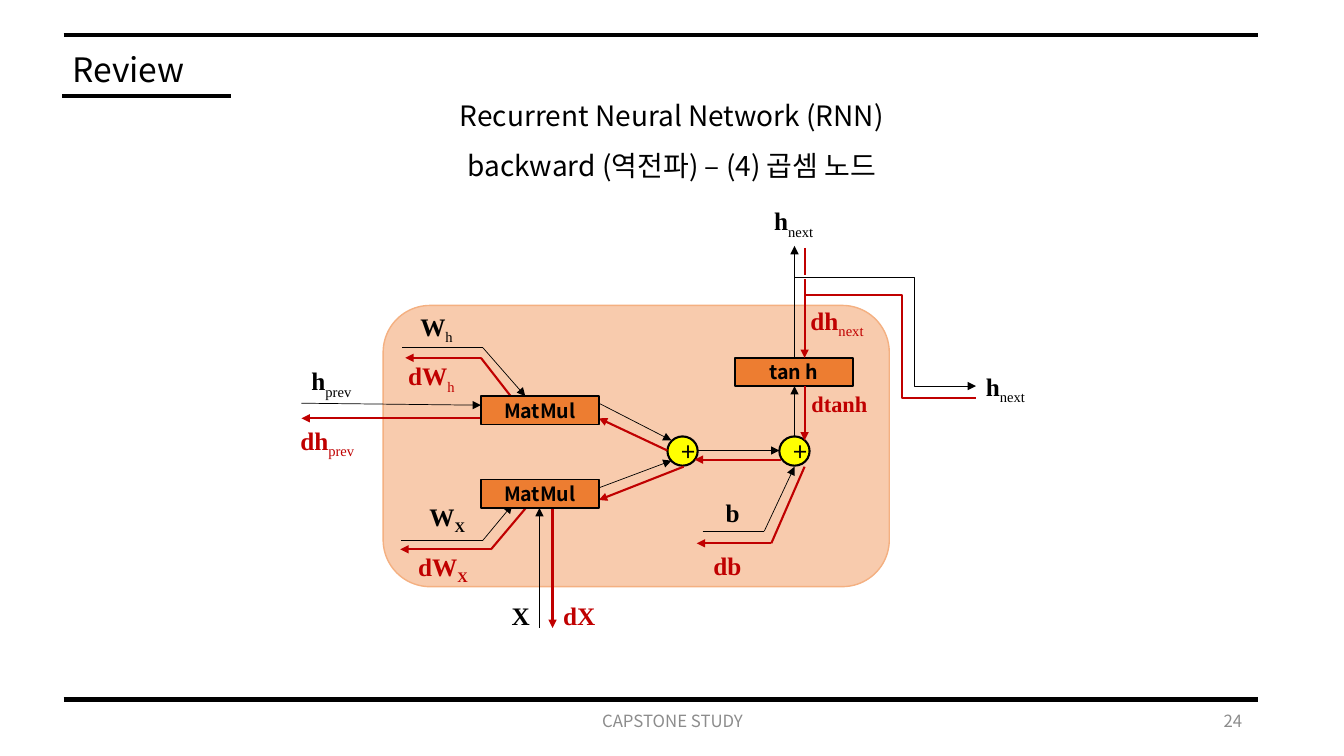
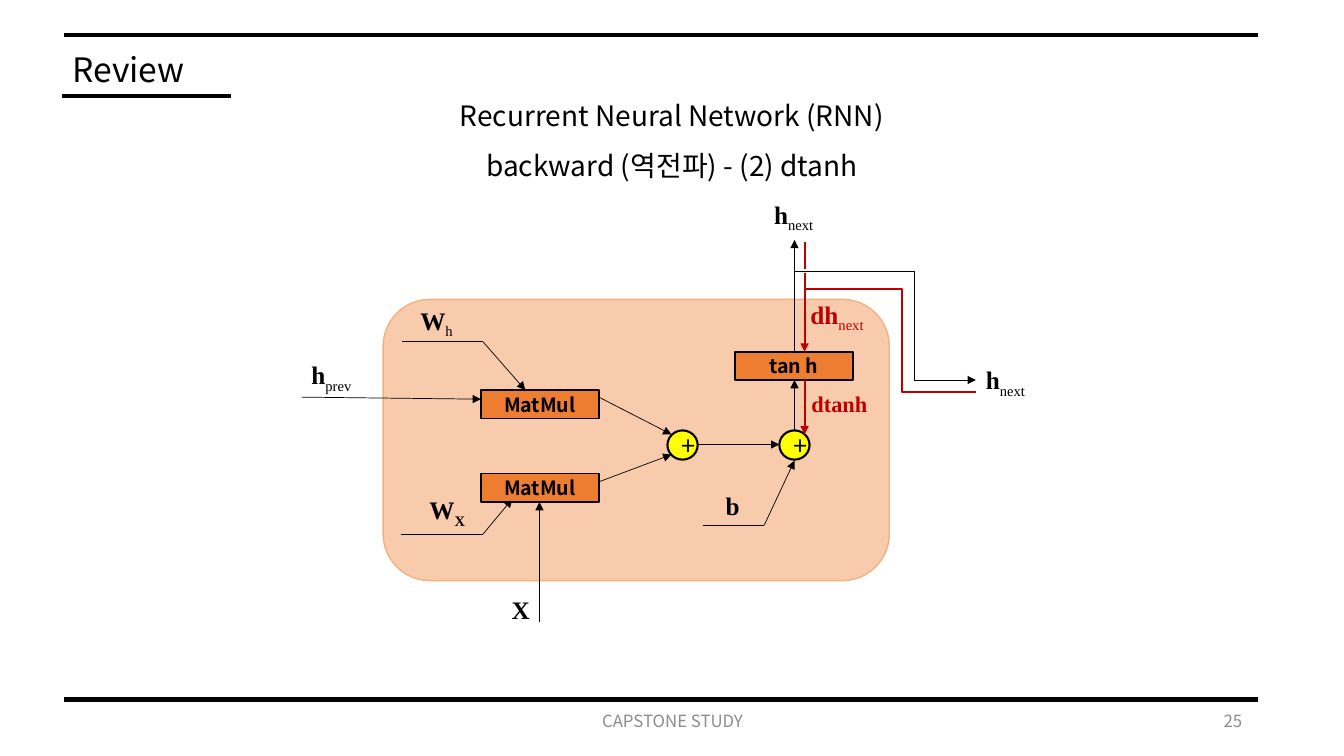
from dataclasses import dataclass
from itertools import pairwise

from lxml.etree import SubElement
from pptx import Presentation
from pptx.dml.color import RGBColor
from pptx.enum.shapes import MSO_CONNECTOR, MSO_SHAPE
from pptx.enum.text import MSO_ANCHOR, PP_ALIGN
from pptx.oxml.ns import qn
from pptx.util import Inches, Pt


@dataclass(frozen=True)
class Theme:
    # Colours
    ink: str = "000000"
    gradient: str = "C00000"
    muted: str = "8C8C8C"
    cell: str = "F8CBAD"
    cell_edge: str = "F4B081"
    operation: str = "ED7D31"
    addition: str = "FFFF00"
    # Fonts
    sans: str = "Noto Sans CJK KR"
    serif: str = "Times New Roman"
    # Type sizes
    title: int = 24
    headline: int = 20
    symbol: int = 18
    small_symbol: int = 16
    box: int = 14
    footer: int = 12
    # Line widths
    rule: float = 3
    strong: float = 1.5
    edge: float = 1
    thin: float = 0.5


THEME = Theme()
COLUMNS, ROWS = 133.3, 75  # grid of tenths of an inch
LEFT, CENTER, RIGHT = PP_ALIGN.LEFT, PP_ALIGN.CENTER, PP_ALIGN.RIGHT


def grid(steps):
    return Inches(steps / 10)


def apply(target, values):
    for name, value in values.items():
        setattr(target, name, value)


class Deck:
    def __init__(self, theme):
        self.theme = theme
        self.file = Presentation()
        apply(self.file, {"slide_width": grid(COLUMNS), "slide_height": grid(ROWS)})
        self.slide = None
        self.shift = 0  # rows added to everything in the diagram

    def new_slide(self, number, headline):
        t = self.theme
        self.shift = 0
        self.slide = self.file.slides.add_slide(self.file.slide_layouts[6])
        # Title and rules
        self.text((6.2, 4.4, 100, 5), ["Review"], t.title)
        for left, right, row in ((6.3, 124.8, 3.5), (6.3, 124.8, 69.4), (6.2, 22.9, 9.5)):
            self.line((left, row), (right, row), t.ink, t.rule)
        # Footer
        footer = {"size": t.footer, "color": t.muted, "anchor": MSO_ANCHOR.MIDDLE}
        self.text((94.2, 69.5, 30, 4), [str(number)], align=RIGHT, **footer)
        self.text((44.2, 69.5, 45, 4), ["CAPSTONE STUDY"], align=CENTER, **footer)
        # Headline
        self.text((30, 7.6, 73.3, 10.6), headline, t.headline, align=CENTER, spacing=1.5)

    def run(self, paragraph, words, size, color, font, bold=False):
        run = paragraph.add_run()
        run.text = words
        apply(run.font, {"size": Pt(size), "bold": bold, "name": font})
        run.font.color.rgb = RGBColor.from_string(color)
        properties = run._r.get_or_add_rPr()
        SubElement(properties, qn("a:ea")).set("typeface", font)
        return properties

    def box(self, at):
        left, top, width, height = at
        return grid(left), grid(top + self.shift), grid(width), grid(height)

    def text(self, at, lines, size, color=None, font=None, bold=False,
             align=LEFT, anchor=MSO_ANCHOR.TOP, spacing=1.0):
        frame = self.slide.shapes.add_textbox(*self.box(at)).text_frame
        apply(frame, {"word_wrap": True, "vertical_anchor": anchor})
        for index, words in enumerate(lines):
            paragraph = frame.add_paragraph() if index else frame.paragraphs[0]
            apply(paragraph, {"alignment": align, "line_spacing": spacing})
            self.run(paragraph, words, size, color or self.theme.ink,
                     font or self.theme.sans, bold)
        return frame

    def symbol(self, name, subscript, left, top, width, color):
        t = self.theme
        frame = self.text((left, top, width, 4), [name], t.symbol, color, t.serif, True,
                          LEFT if subscript else CENTER)
        if subscript:
            properties = self.run(frame.paragraphs[0], subscript, t.symbol, color, t.serif,
                                  bold=subscript.isupper())
            properties.set("baseline", "-25000")

    def shape(self, kind, at, fill, edge, weight, words="", size=0, bold=False):
        node = self.slide.shapes.add_shape(kind, *self.box(at))
        node.shadow.inherit = False
        node.fill.solid()
        node.fill.fore_color.rgb = RGBColor.from_string(fill)
        node.line.color.rgb = RGBColor.from_string(edge)
        node.line.width = Pt(weight)
        if words:
            node.text_frame.vertical_anchor = MSO_ANCHOR.MIDDLE
            paragraph = node.text_frame.paragraphs[0]
            paragraph.alignment = CENTER
            self.run(paragraph, words, size, self.theme.ink, self.theme.sans, bold)

    def operation(self, words, left, top):
        t = self.theme
        self.shape(MSO_SHAPE.RECTANGLE, (left, top, 11.7, 2.8), t.operation, t.ink, t.edge,
                   words, t.box, True)

    def line(self, start, end, color, weight, arrow=False, bend=None):
        kind = MSO_CONNECTOR.STRAIGHT if bend is None else MSO_CONNECTOR.ELBOW
        (x1, y1), (x2, y2) = start, end
        link = self.slide.shapes.add_connector(
            kind, grid(x1), grid(y1 + self.shift), grid(x2), grid(y2 + self.shift))
        link.line.color.rgb = RGBColor.from_string(color)
        link.line.width = Pt(weight)
        properties = link._element.spPr
        if arrow:
            SubElement(link.line._get_or_add_ln(), qn("a:tailEnd")).set("type", "triangle")
        SubElement(properties, qn("a:effectLst"))
        if bend is not None:
            guide = SubElement(properties.find(qn("a:prstGeom")).find(qn("a:avLst")), qn("a:gd"))
            guide.set("name", "adj1")
            guide.set("fmla", f"val {round(bend * 100000)}")

    def route(self, points, color, weight):
        """Join the points; the last piece carries the arrowhead."""
        for start, end in pairwise(points):
            self.line(start, end, color, weight, arrow=end == points[-1])


# Shared positions of the diagram
MATMUL_LEFT, MATMUL_RIGHT = 47.7, 59.4
MATMUL_TOPS = (39.3, 47.6)
SUM_TOP, SUM_LEFTS = 43.3, (66.2, 77.3)
UP, DOWN = 78.8, 79.8  # columns of the output and of its gradient

FORWARD = [
    [(29.9, 40), (MATMUL_LEFT, 40.2)],
    [(MATMUL_RIGHT, 40), (66.6, 43.7)],
    [(MATMUL_RIGHT, 48.4), (66.6, 45.7)],
    [(69.1, 44.7), (77.3, 44.7)],
    [(UP, 43.3), (UP, 38.3)],
    [(UP, 35.5), (UP, 24.4)],
    [(39.9, 34.5), (47.9, 34.5), (52.1, 39.3)],
    [(39.8, 53.6), (47.9, 53.6), (50.8, 50.1)],
    [(69.7, 52.7), (75.8, 52.7), (UP, 46.3)],
    [(53.5, 62.3), (53.5, 50.4)],
]
OUTPUT_GRADIENT = [
    [(DOWN, 27.7), (DOWN, 35.5)],
    [(DOWN, 38.3), (DOWN, 43.7)],
]
INNER_GRADIENT = [
    [(DOWN, 46.3), (76.5, 53.9), (69.1, 53.9)],
    [(77.5, 45.6), (68.9, 45.6)],
    [(67.8, 46.3), (MATMUL_RIGHT, 49.6)],
    [(66.2, 44.7), (MATMUL_RIGHT, 41.5)],
    [(MATMUL_LEFT, 41.5), (29.9, 41.5)],
    [(54.8, 50.4), (54.8, 62.3)],
    [(51.2, 40), (47.7, 35.5), (40.2, 35.5)],
    [(53.5, 48.8), (48.7, 54.5), (39.7, 54.5)],
]

# Name, subscript, left, top, width
VALUES = [
    ("W", "h", 40.7, 30.4, 5.9),
    ("W", "X", 41.6, 49.2, 5.9),
    ("b", "", 69.7, 48.8, 5.9),
    ("h", "prev", 29.9, 35.8, 7.7),
    ("h", "next", 75.8, 19.9, 7.7),
    ("h", "next", 96.8, 36.3, 7.7),
    ("X", "", 48.7, 59.1, 5.9),
]
OUTPUT_NAMES = [("dh", "next", 79.4, 29.8, 9)]
INNER_NAMES = [
    ("dX", "", 54.5, 59.1, 5.9),
    ("dh", "prev", 28.8, 41.7, 9),
    ("dW", "X", 40.5, 54.2, 7.3),
    ("dW", "h", 39.5, 35.3, 7),
    ("db", "", 69.2, 54.1, 5.9),
]


def draw_network(deck, shift, inner):
    t = deck.theme
    deck.shift = shift
    # Cell and its nodes
    deck.shape(MSO_SHAPE.ROUNDED_RECTANGLE, (38, 30.3, 50.2, 27.9), t.cell, t.cell_edge, t.edge)
    for left in SUM_LEFTS:
        deck.shape(MSO_SHAPE.OVAL, (left, SUM_TOP, 3, 2.9), t.addition, t.ink, t.strong,
                   "+", t.symbol)
    deck.operation("tan h", 72.9, 35.5)
    # Forward pass
    for points in FORWARD:
        deck.route(points, t.ink, t.thin)
    deck.line((UP, 27.5), (96.8, 38.3), t.ink, t.thin, arrow=True, bend=0.66)
    # Backward pass
    deck.line((DOWN, 24.6), (DOWN, 27.3), t.gradient, t.strong)
    deck.line((96.8, 39.5), (DOWN, 29.3), t.gradient, t.strong, bend=0.43)
    for points in OUTPUT_GRADIENT + (INNER_GRADIENT if inner else []):
        deck.route(points, t.gradient, t.strong)
    # Products lie over the arrows
    for top in MATMUL_TOPS:
        deck.operation("MatMul", MATMUL_LEFT, top)
    # Symbols
    for value in VALUES:
        deck.symbol(*value, t.ink)
    for name in OUTPUT_NAMES + (INNER_NAMES if inner else []):
        deck.symbol(*name, t.gradient)
    deck.shift = 0  # this label keeps its place on every slide
    deck.text((79.5, 38.2, 9, 3.7), ["dtanh"], t.small_symbol, t.gradient, t.serif, True)


def main():
    deck = Deck(THEME)
    steps = [
        (24, "backward (역전파) – (4) 곱셈 노드", 0, True),
        (25, "backward (역전파) - (2) dtanh", -0.6, False),
    ]
    for number, step, shift, inner in steps:
        deck.new_slide(number, ["Recurrent Neural Network (RNN)", step])
        draw_network(deck, shift, inner)
    deck.file.save("out.pptx")


if __name__ == "__main__":
    main()
